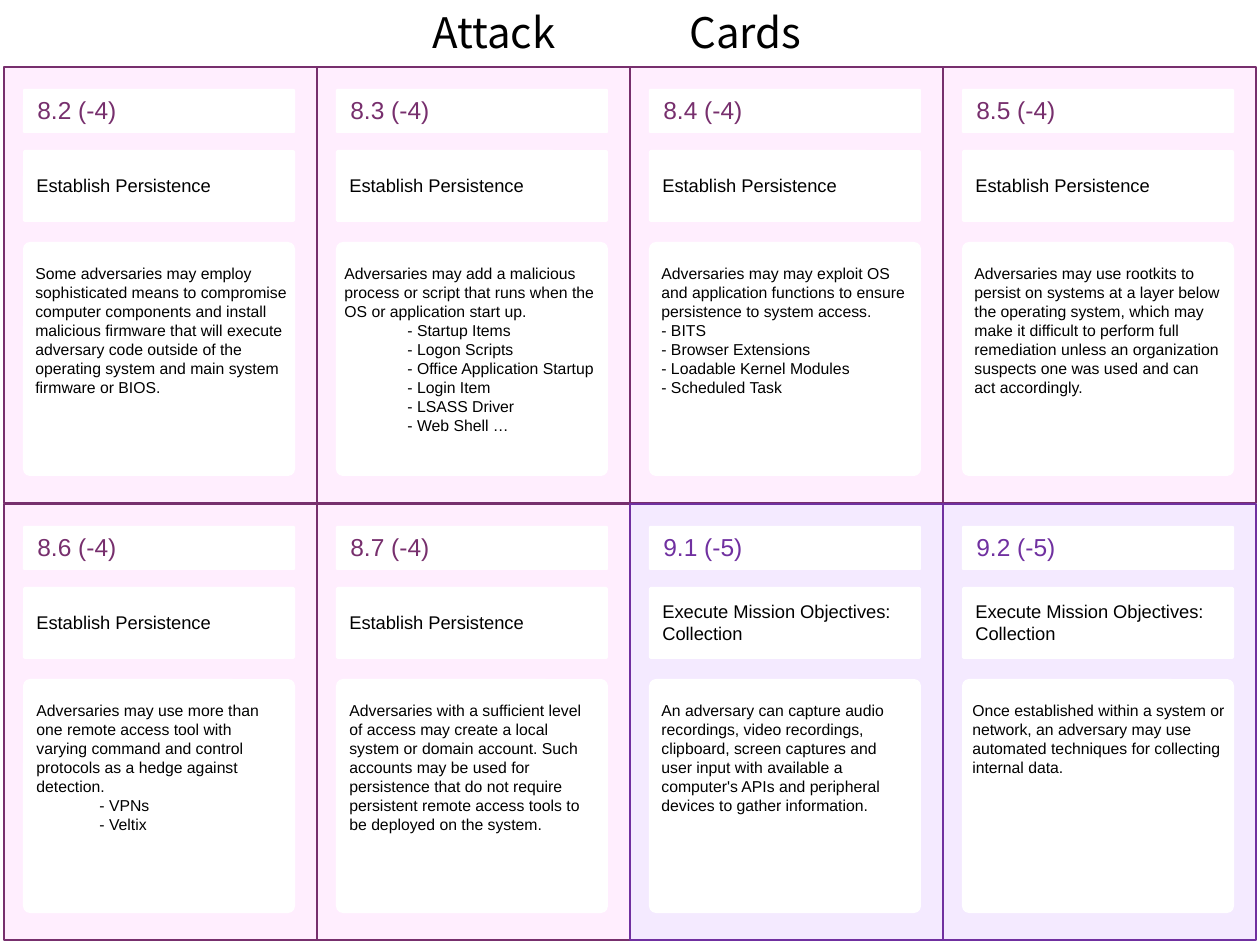
from collections import namedtuple

from lxml.etree import SubElement
from pptx import Presentation
from pptx.dml.color import RGBColor
from pptx.enum.shapes import MSO_SHAPE as SHAPE
from pptx.enum.text import MSO_AUTO_SIZE as AUTO, PP_ALIGN as ALIGN
from pptx.oxml.ns import qn
from pptx.util import Emu, Pt

LEFT, TOP = 4, 67
CARD_W, CARD_H = 313, 436
PITCH_X, PITCH_Y = 313, 437
COLUMNS = 4
PANEL_X, PANEL_W = 19, 272
PINK = ("FFEEFE", "772F6D")
PURPLE = ("F4EAFF", "7030A0")
PERSIST = "Establish Persistence"
COLLECT = "Execute Mission Objectives: Collection"

Card = namedtuple("Card", "code label label_h colors body items indent body_x body_w body_h",
                  defaults=((), 0, 19, 272, 146))

CARDS = [
    Card("8.2 (-4)", PERSIST, 37, PINK,
         "Some adversaries may employ sophisticated means to compromise computer "
         "components and install malicious firmware that will execute adversary code "
         "outside of the operating system and main system firmware or BIOS.", body_w=280),
    Card("8.3 (-4)", PERSIST, 37, PINK,
         "Adversaries may add a malicious process or script that runs when the OS or "
         "application start up.",
         ("- Startup Items", "- Logon Scripts", "- Office Application Startup",
          "- Login Item", "- LSASS Driver", "- Web Shell …"),
         indent=63, body_x=15, body_w=281, body_h=184),
    Card("8.4 (-4)", PERSIST, 37, PINK,
         "Adversaries may may exploit OS and application functions to ensure "
         "persistence to system access.",
         ("- BITS", "- Browser Extensions", "- Loadable Kernel Modules",
          "- Scheduled Task"), body_h=165),
    Card("8.5 (-4)", PERSIST, 37, PINK,
         "Adversaries may use rootkits to persist on systems at a layer below the "
         "operating system, which may make it difficult to perform full remediation "
         "unless an organization suspects one was used and can act accordingly."),
    Card("8.6 (-4)", PERSIST, 37, PINK,
         "Adversaries may use more than one remote access tool with varying command "
         "and control protocols as a hedge against detection.",
         ("- VPNs", "- Veltix"), indent=63, body_x=20, body_w=271),
    Card("8.7 (-4)", PERSIST, 37, PINK,
         "Adversaries with a sufficient level of access may create a local system or "
         "domain account. Such accounts may be used for persistence that do not require "
         "persistent remote access tools to be deployed on the system.",
         body_x=20, body_w=271),
    Card("9.1 (-5)", COLLECT, 59, PURPLE,
         "An adversary can capture audio recordings, video recordings, clipboard, screen "
         "captures and user input with available a computer's APIs and peripheral "
         "devices to gather information.", body_h=127),
    Card("9.2 (-5)", COLLECT, 59, PURPLE,
         "Once established within a system or network, an adversary may use automated "
         "techniques for collecting internal data.", body_x=17, body_w=280, body_h=89),
]


def px(n):
    """Turn pixels into EMU."""
    return Emu(round(n * 914400 / 126))


def color(value):
    """Turn a hex string into a colour."""
    return RGBColor.from_string(value)


def add_box(s, kind, x, y, w, h, fill, line=None):
    """Add a filled shape with an optional outline."""
    sp = s.shapes.add_shape(kind, px(x), px(y), px(w), px(h))
    sp.shadow.inherit = False
    sp.fill.solid()
    sp.fill.fore_color.rgb = color(fill)
    if line:
        sp.line.color.rgb = color(line)
        sp.line.width = Pt(1)
    else:
        sp.line.fill.background()
    return sp


def add_panel(s, x, y, h):
    """Add a white rounded panel."""
    sp = add_box(s, SHAPE.ROUNDED_RECTANGLE, x, y, PANEL_W, h, "FFFFFF")
    sp.adjustments[0] = 0.03


def add_text(s, text, x, y, w, h, size, font="Arial", fill="000000",
             align=ALIGN.LEFT, items=(), indent=0, tab=0):
    """Add a wrapped text box, with optional list lines and a tab stop."""
    tf = s.shapes.add_textbox(px(x), px(y), px(w), px(h)).text_frame
    tf.word_wrap = True
    tf.auto_size = AUTO.SHAPE_TO_FIT_TEXT
    for i, line in enumerate((text, *items)):
        p = tf.add_paragraph() if i else tf.paragraphs[0]
        p.alignment = align
        pPr = p._p.get_or_add_pPr()
        if tab:
            tabs = SubElement(pPr, qn("a:tabLst"))
            SubElement(tabs, qn("a:tab"), pos=str(px(tab)), algn="l")
        if i and indent:
            p.level = 1
            pPr.set("marL", str(px(indent)))
            pPr.set("indent", "0")
        r = p.add_run()
        r.text = line
        r.font.size = Pt(size)
        r.font.name = font
        r.font.color.rgb = color(fill)


def add_card(s, card, x, y):
    """Add one card with its code, label and description."""
    fill, accent = card.colors
    add_box(s, SHAPE.RECTANGLE, x, y, CARD_W, CARD_H, fill, accent)
    add_panel(s, x + PANEL_X, y + 83, 72)
    add_panel(s, x + PANEL_X, y + 175, 234)
    add_text(s, card.body, x + card.body_x, y + 191, card.body_w, card.body_h, 9,
             items=card.items, indent=card.indent)
    add_panel(s, x + PANEL_X, y + 22, 44)
    add_text(s, card.code, x + 21, y + 22, 150, 43, 14, fill=accent)
    add_text(s, card.label, x + 20, y + 119 - card.label_h / 2, 270, card.label_h, 10.5)


def main():
    """Build the slide of attack cards."""
    prs = Presentation()
    prs.slide_width, prs.slide_height = px(1260), px(945)
    s = prs.slides.add_slide(prs.slide_layouts[6])
    add_text(s, "Attack\tCards", 420, 0, 396, 63, 24,
             font="Noto Sans CJK JP", align=ALIGN.JUSTIFY, tab=257)
    for i, card in enumerate(CARDS):
        row, col = divmod(i, COLUMNS)
        add_card(s, card, LEFT + col * PITCH_X, TOP + row * PITCH_Y)
    prs.save("out.pptx")


if __name__ == "__main__":
    main()
